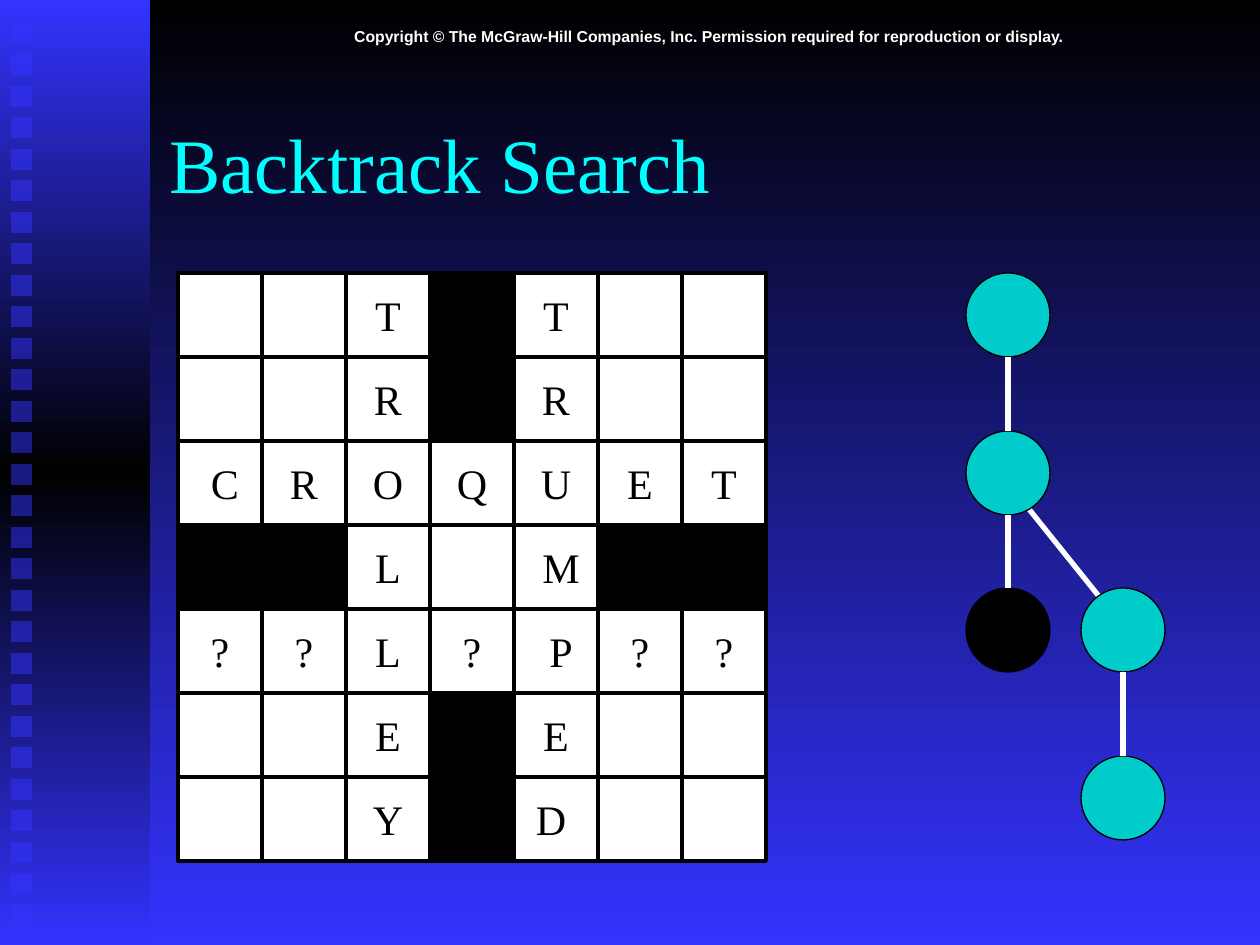
from copy import deepcopy

from pptx import Presentation
from pptx.dml.color import RGBColor
from pptx.enum.shapes import MSO_CONNECTOR, MSO_SHAPE
from pptx.enum.text import MSO_ANCHOR, PP_ALIGN
from pptx.oxml.ns import qn
from pptx.oxml.xmlchemy import OxmlElement
from pptx.util import Pt

PX = 914400 / 126
BLACK = RGBColor(0x00, 0x00, 0x00)
WHITE = RGBColor(0xFF, 0xFF, 0xFF)
BLUE = RGBColor(0x33, 0x33, 0xFF)
CYAN = RGBColor(0x00, 0xFF, 0xFF)
TEAL = RGBColor(0x00, 0xCC, 0xCC)
SERIF = "Times New Roman"

CELL = 84
GRID_LEFT, GRID_TOP = 178, 273
CROSSWORD = ["..T#T..", "..R#R..", "CROQUET", "##L.M##", "??L?P??", "..E#E..", "..Y#D.."]
LETTER_SHIFTS = {(2, 0): 10, (3, 4): 10, (4, 4): 10, (6, 4): -10}

NODE = 84
NODES = [(966, 273, TEAL), (966, 431, TEAL), (966, 588, BLACK), (1081, 588, TEAL), (1081, 756, TEAL)]
BRANCH = (1008, 483, 1134, 640)
EDGES = [(1008, 357, 1008, 431), (1008, 515, 1008, 588), (1123, 756, 1123, 672)]


def emu(*lengths):
    """Turn px lengths into EMU."""
    return [round(length * PX) for length in lengths]


def paint_gradient(fill, owner, colors):
    """Fill with evenly spaced colours from top to bottom."""
    fill.gradient()
    fill.gradient_angle = 270
    stop_list = next(owner.iter(qn("a:gsLst")))
    for _ in colors[2:]:
        stop_list.append(deepcopy(stop_list[-1]))
    for index, (stop, color) in enumerate(zip(fill.gradient_stops, colors)):
        stop.position = index / (len(colors) - 1)
        stop.color.rgb = color


def add_figure(slide, kind, box, color=None, border=0):
    """Add a flat preset shape with an optional black border."""
    figure = slide.shapes.add_shape(kind, *emu(*box))
    figure.shadow.inherit = False
    if color is not None:
        figure.fill.solid()
        figure.fill.fore_color.rgb = color
    if border:
        figure.line.color.rgb = BLACK
        figure.line.width = Pt(border)
    else:
        figure.line.fill.background()
    return figure


def write(frame, text, size, color, font=SERIF, bold=False, align=PP_ALIGN.CENTER, anchor=MSO_ANCHOR.MIDDLE):
    """Put one formatted line of text into a frame."""
    frame.text = text
    frame.vertical_anchor = anchor
    line = frame.paragraphs[0]
    line.alignment = align
    style = line.runs[0].font
    style.name, style.size, style.bold = font, Pt(size), bold
    style.color.rgb = color


def add_label(slide, box, text, **style):
    """Add a wrapping text box."""
    frame = slide.shapes.add_textbox(*emu(*box)).text_frame
    frame.word_wrap = True
    write(frame, text, **style)


def add_sidebar(slide):
    """Draw the gradient band and its column of translucent squares."""
    band = add_figure(slide, MSO_SHAPE.RECTANGLE, (0, 0, 150, 945))
    paint_gradient(band.fill, band.element, [BLUE, BLACK, BLUE])
    for index in range(29):
        top = 23 + index * 63 // 2
        square = add_figure(slide, MSO_SHAPE.RECTANGLE, (11, top, 21, 21), BLUE)
        alpha = OxmlElement("a:alpha")
        alpha.set("val", "50000")
        next(square.element.spPr.iter(qn("a:srgbClr"))).append(alpha)


def add_cell(slide, row, column, letter):
    """Draw one crossword square, blocked, empty or lettered."""
    box = (GRID_LEFT + column * CELL, GRID_TOP + row * CELL, CELL, CELL)
    cell = add_figure(slide, MSO_SHAPE.RECTANGLE, box, BLACK if letter == "#" else WHITE, 2.25)
    if letter in "#.":
        return
    shift = LETTER_SHIFTS.get((row, column), 0)
    frame = cell.text_frame
    frame.word_wrap = False
    frame.margin_left, frame.margin_right = emu(13 + max(shift, 0), 13 + max(-shift, 0))
    write(frame, letter, 24, BLACK)


def add_edge(slide, ends):
    """Draw a white line between two tree nodes."""
    edge = slide.shapes.add_connector(MSO_CONNECTOR.STRAIGHT, *emu(*ends))
    edge.line.color.rgb = WHITE
    edge.line.width = Pt(3)
    edge.element.spPr.append(OxmlElement("a:effectLst"))


def main():
    """Build the backtrack search slide."""
    deck = Presentation()
    deck.slide_width, deck.slide_height = emu(1260, 945)
    slide = deck.slides.add_slide(deck.slide_layouts[6])
    paint_gradient(slide.background.fill, slide.element, [BLACK, BLUE])

    add_sidebar(slide)
    add_label(
        slide, (157, 21, 1103, 32),
        "Copyright © The McGraw-Hill Companies, Inc. Permission required for reproduction or display.",
        size=9, color=WHITE, font="Arial", bold=True, anchor=MSO_ANCHOR.TOP,
    )
    add_edge(slide, BRANCH)
    add_label(slide, (157, 84, 1071, 157), "Backtrack Search", size=44, color=CYAN, align=PP_ALIGN.LEFT)

    for row, letters in enumerate(CROSSWORD):
        for column, letter in enumerate(letters):
            add_cell(slide, row, column, letter)
    for left, top, color in NODES:
        add_figure(slide, MSO_SHAPE.OVAL, (left, top, NODE, NODE), color, 0.75)
    for ends in EDGES:
        add_edge(slide, ends)

    deck.save("out.pptx")


if __name__ == "__main__":
    main()
